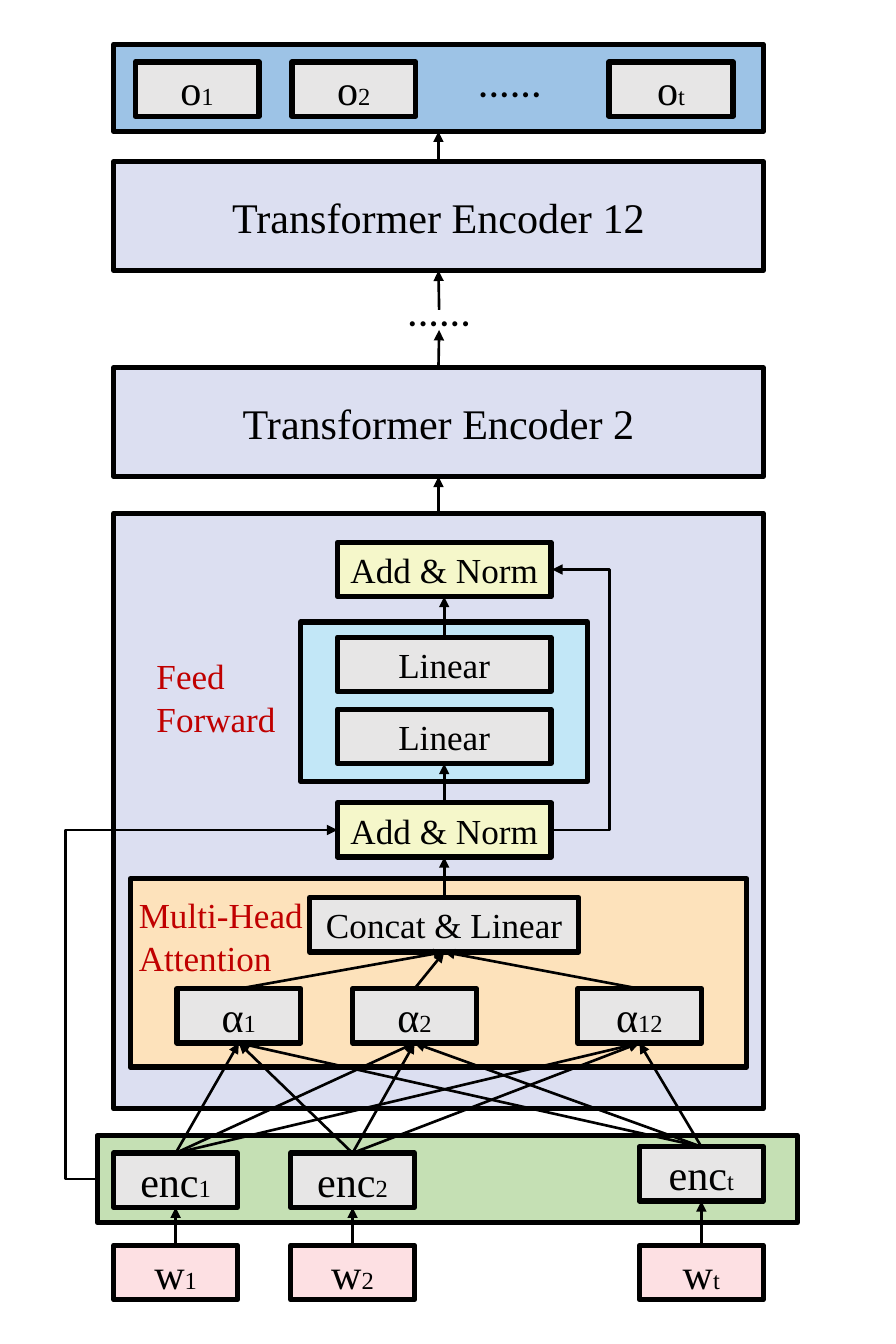
"""Builds a slide showing a stack of transformer encoders from words to outputs."""
from collections import namedtuple

from lxml import etree
from pptx import Presentation
from pptx.dml.color import RGBColor
from pptx.enum.shapes import MSO_CONNECTOR, MSO_SHAPE
from pptx.enum.text import MSO_ANCHOR, PP_ALIGN
from pptx.oxml.ns import qn
from pptx.util import Inches, Pt

RECTANGLE = MSO_SHAPE.RECTANGLE
STRAIGHT, ELBOW = MSO_CONNECTOR.STRAIGHT, MSO_CONNECTOR.ELBOW
MIDDLE, TOP = MSO_ANCHOR.MIDDLE, MSO_ANCHOR.TOP
CENTER, LEFT = PP_ALIGN.CENTER, PP_ALIGN.LEFT

BLACK = RGBColor(0x00, 0x00, 0x00)
RED = RGBColor(0xC0, 0x00, 0x00)
LAVENDER = RGBColor(0xDC, 0xDF, 0xF1)
CYAN = RGBColor(0xC2, 0xE7, 0xF7)
ORANGE = RGBColor(0xFD, 0xE2, 0xBB)
GREEN = RGBColor(0xC5, 0xE0, 0xB4)
BLUE = RGBColor(0x9D, 0xC3, 0xE6)
PINK = RGBColor(0xFD, 0xE0, 0xE3)
GRAY = RGBColor(0xE7, 0xE6, 0xE6)
YELLOW = RGBColor(0xF5, 0xF7, 0xCA)

SLIDE_WIDTH, SLIDE_HEIGHT = Inches(7.09), Inches(10.63)
COLUMNS, ROWS = 709, 1063
SERIF, SANS = "Times New Roman", "Calibri"
LARGE, MEDIUM, INDEX = Pt(24), Pt(20), Pt(14)
TOKEN_WIDTH, BOX_HEIGHT = 98, 43
STACK_LEFT, STACK_WIDTH = 90, 514
LAYER_LEFT, LAYER_WIDTH = 267, 169


class Box(namedtuple("Box", "left top width height")):
    """Area on the grid, with the points where arrows meet it."""

    def upper(self):
        return self.left + self.width / 2, self.top

    def lower(self):
        return self.left + self.width / 2, self.top + self.height

    def left_side(self):
        return self.left, self.top + self.height / 2

    def right_side(self):
        return self.left + self.width, self.top + self.height / 2


def across(column):
    """Turns a grid column into a slide length."""
    return round(SLIDE_WIDTH * column / COLUMNS)


def down(row):
    """Turns a grid row into a slide length."""
    return round(SLIDE_HEIGHT * row / ROWS)


def place(box):
    """Turns a box into left, top, width and height on the slide."""
    return across(box.left), down(box.top), across(box.width), down(box.height)


def write(frame, lines, size, color=BLACK, font=SERIF, align=CENTER, anchor=MIDDLE):
    """Writes one paragraph for each line."""
    frame.word_wrap = True
    frame.vertical_anchor = anchor
    for number, line in enumerate(lines):
        paragraph = frame.add_paragraph() if number else frame.paragraphs[0]
        paragraph.text = line
        paragraph.alignment = align
        paragraph.font.name = font
        paragraph.font.size = size
        paragraph.font.color.rgb = color


def add_block(slide, box, fill, text=None, size=MEDIUM, index=None):
    """Adds an outlined rectangle with an optional label and small index."""
    block = slide.shapes.add_shape(RECTANGLE, *place(box))
    block.shadow.inherit = False
    block.fill.solid()
    block.fill.fore_color.rgb = fill
    block.line.color.rgb = BLACK
    block.line.width = Pt(3)
    if text:
        frame = block.text_frame
        frame.margin_left = frame.margin_right = 0
        write(frame, [text], size)
    if index:
        small = frame.paragraphs[0].add_run()
        small.text = index
        small.font.size = INDEX
    return box


def add_tokens(slide, letter, fill, indexes, lefts, tops):
    """Adds a row of indexed tokens and returns their boxes."""
    return [add_block(slide, Box(left, top, TOKEN_WIDTH, BOX_HEIGHT), fill, letter, LARGE, index)
            for index, left, top in zip(indexes, lefts, tops)]


def add_layer(slide, top, fill, text):
    """Adds one layer of the first encoder."""
    return add_block(slide, Box(LAYER_LEFT, top, LAYER_WIDTH, BOX_HEIGHT), fill, text)


def add_label(slide, box, lines):
    """Adds a red caption."""
    caption = slide.shapes.add_textbox(*place(box))
    write(caption.text_frame, lines, MEDIUM, RED, align=LEFT, anchor=TOP)


def add_ellipsis(slide, box):
    """Adds dots for the items left out."""
    dots = slide.shapes.add_textbox(*place(box))
    write(dots.text_frame, ["......"], LARGE, font=SANS)


def add_arrow(slide, start, end, bend=None):
    """Adds an arrow, turning at the grid column bend when one is given."""
    kind = STRAIGHT if bend is None else ELBOW
    arrow = slide.shapes.add_connector(
        kind, across(start[0]), down(start[1]), across(end[0]), down(end[1]))
    arrow.line.color.rgb = BLACK
    arrow.line.width = Pt(1.5)
    properties = arrow._element.spPr
    etree.SubElement(properties.find(qn("a:ln")), qn("a:tailEnd"), type="triangle")
    etree.SubElement(properties, qn("a:effectLst"))
    if bend is not None:
        share = round(100000 * (bend - start[0]) / (end[0] - start[0]))
        guides = properties.find(qn("a:prstGeom")).get_or_add_avLst()
        etree.SubElement(guides, qn("a:gd"), name="adj1", fmla=f"val {share}")


def add_first_encoder(slide):
    """Adds the opened encoder and returns its frame, heads and lower norm."""
    frame = add_block(slide, Box(STACK_LEFT, 406, STACK_WIDTH, 471), LAVENDER)
    add_block(slide, Box(238, 492, 227, 126), CYAN)
    add_block(slide, Box(103, 695, 488, 149), ORANGE)
    heads = add_tokens(slide, "α", GRAY, ["1", "2", "12"], [140, 279, 457], [782] * 3)
    concat = add_block(slide, Box(245, 710, 213, BOX_HEIGHT), GRAY, "Concat & Linear")
    lower_norm = add_layer(slide, 635, YELLOW, "Add & Norm")
    first_linear = add_layer(slide, 561, GRAY, "Linear")
    second_linear = add_layer(slide, 504, GRAY, "Linear")
    upper_norm = add_layer(slide, 429, YELLOW, "Add & Norm")
    for head in heads:
        add_arrow(slide, head.upper(), concat.lower())
    for source, target in [(concat, lower_norm), (lower_norm, first_linear),
                           (second_linear, upper_norm)]:
        add_arrow(slide, source.upper(), target.lower())
    norm_right, norm_row = upper_norm.right_side()
    add_arrow(slide, lower_norm.right_side(), (norm_right + 1, norm_row), bend=483)
    add_label(slide, Box(114, 513, 117, 77), ["Feed", "Forward"])
    add_label(slide, Box(100, 702, 153, 77), ["Multi-Head", "Attention"])
    return frame, heads, lower_norm


def add_inputs(slide, heads, lower_norm):
    """Adds words and encodings, and links them to the attention heads."""
    encoding = add_block(slide, Box(77, 898, 554, 69), GREEN)
    indexes, lefts = ["1", "2", "t"], [90, 230, 506]
    words = add_tokens(slide, "w", PINK, indexes, lefts, [985] * 3)
    encoded = add_tokens(slide, "enc", GRAY, indexes, lefts, [912, 912, 907])
    for word, code in zip(words, encoded):
        add_arrow(slide, word.upper(), code.lower())
        for head in heads:
            add_arrow(slide, code.upper(), head.lower())
    add_arrow(slide, encoding.left_side(), lower_norm.left_side(), bend=52)


def add_upper_stack(slide, first_encoder):
    """Adds the closed encoders and the outputs above the first encoder."""
    second = add_block(slide, Box(STACK_LEFT, 291, STACK_WIDTH, 86), LAVENDER,
                       "Transformer Encoder 2", LARGE)
    last = add_block(slide, Box(STACK_LEFT, 128, STACK_WIDTH, 86), LAVENDER,
                     "Transformer Encoder 12", LARGE)
    outputs = add_block(slide, Box(STACK_LEFT, 35, STACK_WIDTH, 69), BLUE)
    add_tokens(slide, "o", GRAY, ["1", "2", "t"], [107, 231, 482], [49] * 3)
    gap = Box(244, 245, 207, 16)
    add_ellipsis(slide, gap._replace(top=237))
    add_ellipsis(slide, Box(300, 56, 207, 16))
    for source, target in [(first_encoder, second), (second, gap), (gap, last), (last, outputs)]:
        add_arrow(slide, source.upper(), target.lower())


def main():
    """Builds and saves the slide."""
    deck = Presentation()
    deck.slide_width, deck.slide_height = SLIDE_WIDTH, SLIDE_HEIGHT
    slide = deck.slides.add_slide(deck.slide_layouts[6])
    first_encoder, heads, lower_norm = add_first_encoder(slide)
    add_inputs(slide, heads, lower_norm)
    add_upper_stack(slide, first_encoder)
    deck.save("out.pptx")


if __name__ == "__main__":
    main()
